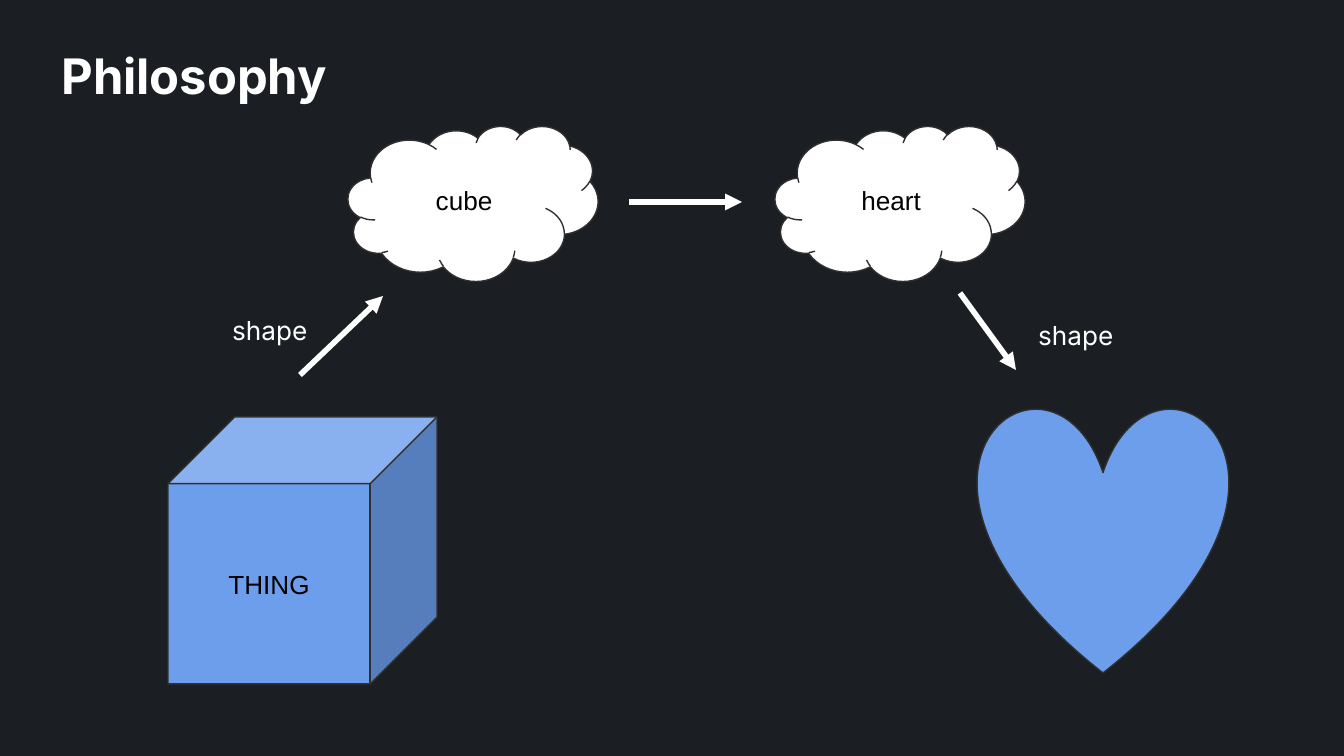
from lxml import etree
from pptx import Presentation
from pptx import util as u
from pptx.dml.color import RGBColor
from pptx.enum import shapes, text
from pptx.oxml.ns import qn

PX = 914400 / 134.4
BACKGROUND = RGBColor(0x1B, 0x1F, 0x24)
WHITE = RGBColor(0xFF, 0xFF, 0xFF)
BLACK = RGBColor(0x00, 0x00, 0x00)
BLUE = RGBColor(0x6D, 0x9E, 0xEB)
OUTLINE = RGBColor(0x30, 0x30, 0x30)


def px(*lengths):
    return [u.Emu(round(length * PX)) for length in lengths]


def write(frame, words, size=14, font="Arial", color=BLACK, bold=False,
          align=text.PP_ALIGN.LEFT, anchor=text.MSO_ANCHOR.TOP):
    frame.word_wrap = True
    frame.vertical_anchor = anchor
    frame.margin_left = frame.margin_right = u.Inches(0.1)
    frame.margin_top = frame.margin_bottom = u.Inches(0.1)
    paragraph = frame.paragraphs[0]
    paragraph.alignment = align
    run = paragraph.add_run()
    run.text = words
    run.font.size = u.Pt(size)
    run.font.name = font
    run.font.bold = bold
    run.font.color.rgb = color


class Diagram:
    """Holds the current slide and draws its elements in one style."""

    font = "Inter"

    def __init__(self, slide):
        self.slide = slide
        slide.background.fill.solid()
        slide.background.fill.fore_color.rgb = BACKGROUND

    def title(self, words, left, top, width, height):
        title = self.slide.shapes.title
        title.left, title.top, title.width, title.height = px(left, top, width, height)
        write(title.text_frame, words, size=26.2, font=self.font, color=WHITE, bold=True)
        title.text_frame.auto_size = text.MSO_AUTO_SIZE.NONE

    def shape(self, kind, left, top, width, height, fill, words=None):
        shape = self.slide.shapes.add_shape(kind, *px(left, top, width, height))
        shape.shadow.inherit = False
        shape.fill.solid()
        shape.fill.fore_color.rgb = fill
        shape.line.color.rgb = OUTLINE
        shape.line.width = u.Pt(0.75)
        if words:
            write(shape.text_frame, words, align=text.PP_ALIGN.CENTER,
                  anchor=text.MSO_ANCHOR.MIDDLE)

    def arrow(self, *ends):
        arrow = self.slide.shapes.add_connector(shapes.MSO_CONNECTOR.STRAIGHT, *px(*ends))
        arrow.line.color.rgb = WHITE
        arrow.line.width = u.Pt(3)
        etree.SubElement(arrow.line._get_or_add_ln(), qn("a:tailEnd"), type="triangle")
        etree.SubElement(arrow._element.spPr, qn("a:effectLst"))

    def label(self, words, left, top):
        label = self.slide.shapes.add_textbox(*px(left, top, 105, 59))
        write(label.text_frame, words, font=self.font, color=WHITE)
        label.text_frame.auto_size = text.MSO_AUTO_SIZE.SHAPE_TO_FIT_TEXT


def main():
    presentation = Presentation()
    presentation.slide_width, presentation.slide_height = px(1344, 756)
    title_only = presentation.slide_layouts[5]
    diagram = Diagram(presentation.slides.add_slide(title_only))

    diagram.title("Philosophy", 48, 32, 1165, 85)
    diagram.shape(shapes.MSO_SHAPE.CUBE, 168, 417, 269, 267, BLUE, "THING")
    for words, left in (("cube", 348), ("heart", 775)):
        diagram.shape(shapes.MSO_SHAPE.CLOUD, left, 126, 250, 155, WHITE, words)
    diagram.arrow(300, 375, 383, 296)
    diagram.arrow(960, 293, 1016, 370)
    diagram.label("shape", 219, 301)
    diagram.label("shape", 1025, 306)
    diagram.arrow(629, 202, 742, 202)
    diagram.shape(shapes.MSO_SHAPE.HEART, 978, 406, 250, 267, BLUE)

    presentation.save("out.pptx")


if __name__ == "__main__":
    main()
